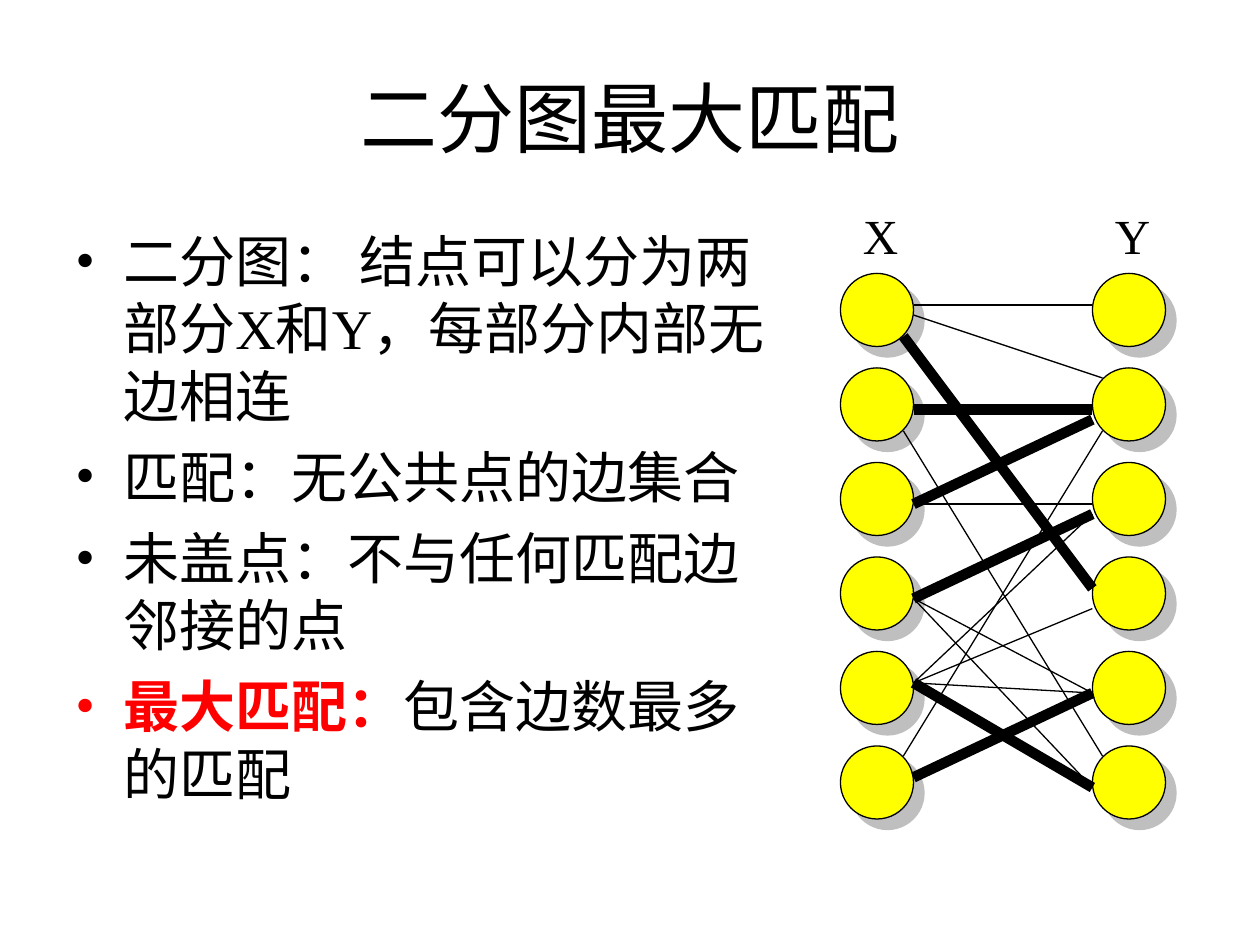
from pptx import Presentation
from pptx.dml.color import RGBColor
from pptx.enum import shapes, text
from pptx.oxml import parse_xml
from pptx.oxml.ns import nsdecls
from pptx.util import Inches, Pt

HUES = {"ink": "000000", "node": "FFFF00", "key": "FF0000", "shade": "808080"}
SANS, SERIF = "Arial", "Times New Roman"
POINTS = [
    [("二分图： 结点可以分为两部分X和Y，每部分内部无边相连", "ink")],
    [("匹配：无公共点的边集合", "ink")],
    [("未盖点：不与任何匹配边邻接的点", "ink")],
    [("最大匹配：", "key"), ("包含边数最多的匹配", "ink")],
]
ROWS, STEP, SIZE, GAP, TOP = 6, 0.75, 0.58, 2, 0.59
BOLD = [
    (0.5, 1.09, 2, 3.09), (0.58, 2.42, 2, 1.75), (0.58, 3.17, 2, 2.5),
    (0.58, 3.84, 2, 4.67), (0.58, 4.59, 2, 3.92), (0.58, 1.67, 2, 1.67),
]
THIN = [
    (0.58, 0.84, 2, 0.84), (0.58, 0.92, 2.08, 1.42), (0.5, 1.84, 2.08, 4.42),
    (0.58, 2.42, 2, 2.42), (0.58, 3.17, 2, 3.92), (0.58, 3.17, 2, 4.67),
    (0.58, 3.84, 2, 2.5), (0.58, 3.84, 2, 3.25), (0.58, 3.84, 2, 3.92),
    (0.5, 4.42, 2.08, 1.84),
]


def rgb(hue):
    """Return the named colour."""
    return RGBColor.from_string(HUES[hue])


def write(par, words, size=32, face=SERIF, hue="ink", bold=False):
    """Add one formatted run to a paragraph."""
    run = par.add_run()
    run.text = words
    font = run.font
    font.size, font.name, font.bold = Pt(size), face, bold
    font.color.rgb = rgb(hue)


def frame(slide, x, y, w, h, wrap=True):
    """Add a text box and return its frame."""
    area = slide.shapes.add_textbox(Inches(x), Inches(y), Inches(w), Inches(h)).text_frame
    area.word_wrap = wrap
    return area


def bullet(par, hue):
    """Give a paragraph a hanging round bullet."""
    props = par._p.get_or_add_pPr()
    props.set("marL", str(Inches(0.38)))
    props.set("indent", str(-Inches(0.38)))
    for body in (f'buClr {nsdecls("a")}><a:srgbClr val="{HUES[hue]}"/></a:buClr>',
                 f'buFont {nsdecls("a")} typeface="{SERIF}"/>',
                 f'buChar {nsdecls("a")} char="•"/>'):
        props.append(parse_xml("<a:" + body))


def title(slide, x, y, w, h):
    """Place the centred heading."""
    area = frame(slide, x, y, w, h)
    area.vertical_anchor = text.MSO_ANCHOR.MIDDLE
    par = area.paragraphs[0]
    par.alignment = text.PP_ALIGN.CENTER
    write(par, "二分图最大匹配", size=44, face=SANS)


def notions(slide, x, y, w, h):
    """Place the bulleted definitions."""
    area = frame(slide, x, y, w, h)
    for i, parts in enumerate(POINTS):
        par = area.add_paragraph() if i else area.paragraphs[0]
        if i:
            par.space_before = Pt(8)
        bullet(par, parts[0][1])
        for words, hue in parts:
            write(par, words, hue=hue, bold=hue == "key")


def node(slide, x, y):
    """Draw one vertex with a soft grey shadow."""
    dot = slide.shapes.add_shape(
        shapes.MSO_SHAPE.OVAL, Inches(x), Inches(y), Inches(SIZE), Inches(SIZE))
    dot.fill.solid()
    dot.fill.fore_color.rgb = rgb("node")
    dot.line.color.rgb = rgb("ink")
    dot.line.width = Pt(0.75)
    dot._element.spPr.append(parse_xml(
        f'<a:effectLst {nsdecls("a")}><a:outerShdw dist="{Pt(8.5)}" dir="2700000" '
        f'algn="ctr" rotWithShape="0"><a:srgbClr val="{HUES["shade"]}">'
        '<a:alpha val="50000"/></a:srgbClr></a:outerShdw></a:effectLst>'))


def edge(slide, x, y, ends, width):
    """Draw one edge between two points of the graph box."""
    x1, y1, x2, y2 = ends
    line = slide.shapes.add_connector(
        shapes.MSO_CONNECTOR.STRAIGHT,
        Inches(x + x1), Inches(y + y1), Inches(x + x2), Inches(y + y2))
    line.line.color.rgb = rgb("ink")
    line.line.width = Pt(width)
    line._element.spPr.append(parse_xml(f'<a:effectLst {nsdecls("a")}/>'))


def graph(slide, x, y):
    """Draw the two vertex columns, their edges and labels."""
    for col in range(2):
        for row in range(ROWS):
            node(slide, x + col * GAP, y + TOP + row * STEP)
    for width, group in ((6, BOLD), (0.75, THIN)):
        for ends in group:
            edge(slide, x, y, ends, width)
    for col, name in enumerate("XY"):
        area = frame(slide, x + 0.08 + col * GAP, y, 0.48, 0.57, wrap=False)
        write(area.paragraphs[0], name, size=28)


def main():
    """Build and save the slide."""
    deck = Presentation()
    deck.slide_width, deck.slide_height = Inches(10), Inches(7.5)
    slide = deck.slides.add_slide(deck.slide_layouts[6])
    title(slide, 0.5, 0.3, 9, 1.25)
    notions(slide, 0.5, 1.75, 5.67, 4.95)
    graph(slide, 6.67, 1.58)
    deck.save("out.pptx")


if __name__ == "__main__":
    main()
